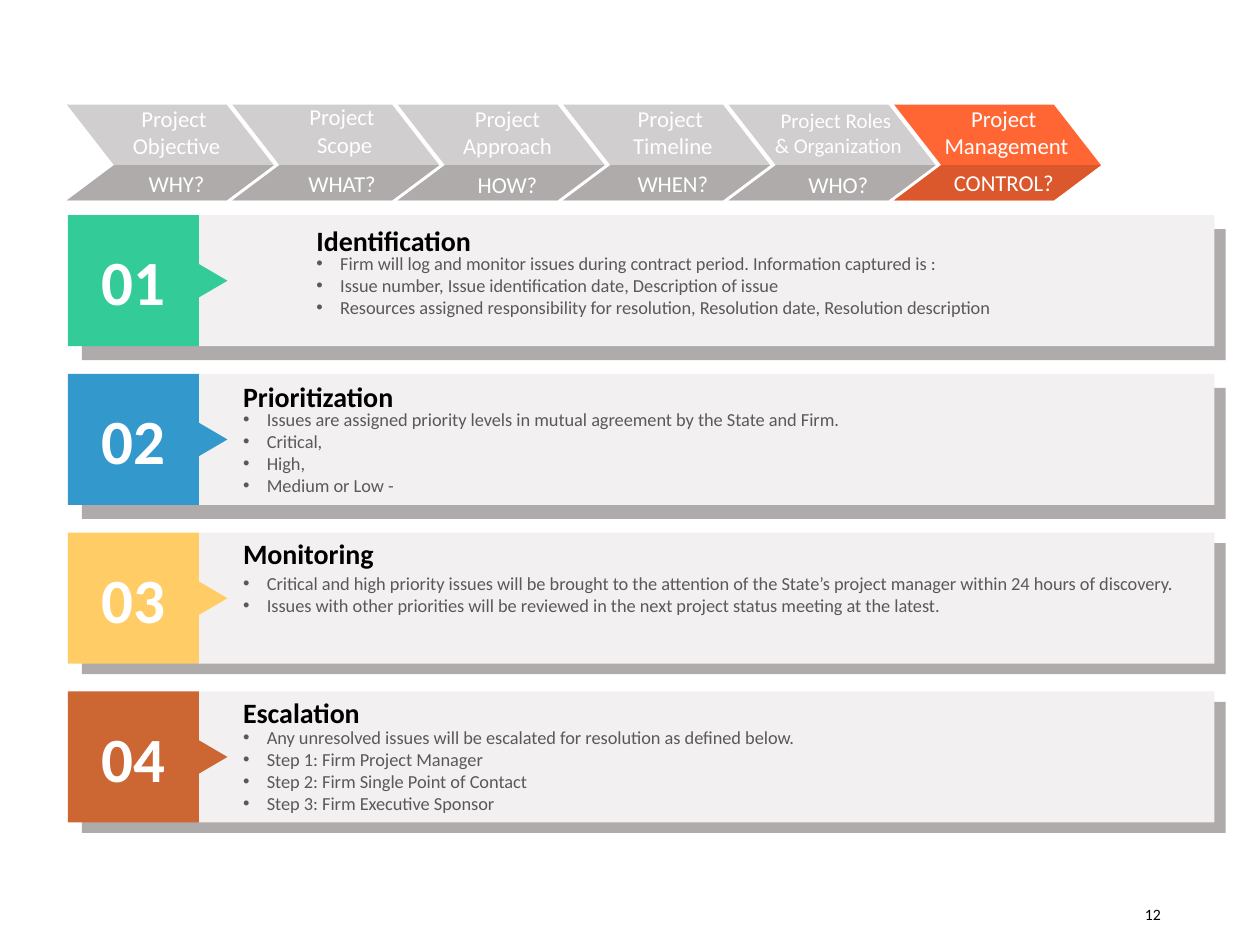
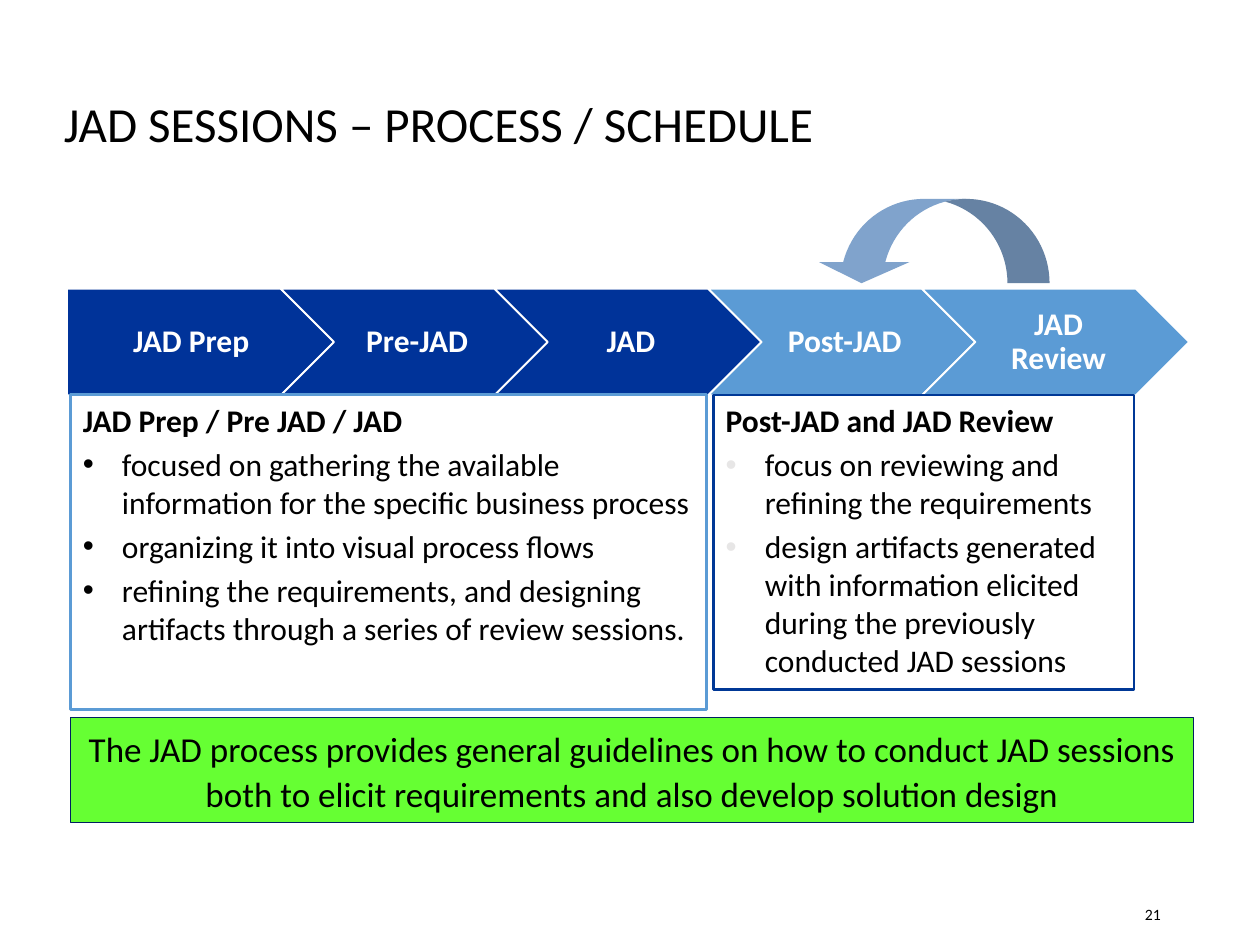
from lxml import etree
from pptx import Presentation
from pptx.dml.color import RGBColor
from pptx.enum import shapes, text
from pptx.oxml.ns import qn
from pptx.util import Cm, Pt

FONT = "Calibri"
COLORS = {
    "black": "000000", "white": "FFFFFF", "body": "595959",
    "panel": "F2F0F0", "shade": "AFABAB", "step": "D0CECE",
    "active": "FF6633", "active_dark": "DB582C",
    "green": "33CC99", "blue": "3399CC", "yellow": "FFCC66", "rust": "CC6633",
    "navy": "003399", "sky": "5B9BD5", "return": "80A3CC",
    "navy_line": "003896", "faint": "E7E6E6", "lime": "66FF33", "lime_line": "002060",
}
SHAPE = shapes.MSO_SHAPE
ALIGN = text.PP_ALIGN
ANCHOR = text.MSO_ANCHOR
INSETS = (0.25, 0.13, 0.25, 0.13)

# label, label size, label offset, question, question offset
STEPS = [
    (["Project ", "Objective"], 13, -0.13, "WHY?", 1.19),
    (["Project", " Scope"], 13, -0.16, "WHAT?", 1.19),
    (["Project", "Approach"], 13, -0.13, "HOW?", 1.21),
    (["Project ", "Timeline"], 13, -0.13, "WHEN?", 1.19),
    (["Project Roles ", "& Organization"], 12, -0.08, "WHO?", 1.21),
    (["Project", " Management"], 13, -0.13, "CONTROL?", 1.16),
]

# colour, shadow offset, text left, text width, heading offset, body offset
ISSUES = [
    ("Identification", ("green", 0.28, 5.01, 14.6, 0.03, 0.61), [
        "Firm will log and monitor issues during contract period. Information captured is :",
        "Issue number, Issue identification date, Description of issue",
        "Resources assigned responsibility for resolution, Resolution date, "
        "Resolution description"]),
    ("Prioritization", ("blue", 0.28, 3.53, 19.4, -0.03, 0.56), [
        "Issues are assigned priority levels in mutual agreement by the State and Firm.",
        "Critical, ", "High, ", "Medium or Low - "]),
    ("Monitoring", ("yellow", 0.21, 3.53, 19.1, -0.05, 0.66), [
        "Critical and high priority issues will be brought to the attention of the "
        "State’s project manager within 24 hours of discovery.",
        "Issues with other priorities will be reviewed in the next project status "
        "meeting at the latest."]),
    ("Escalation", ("rust", 0.21, 3.53, 19.4, -0.05, 0.56), [
        "Any unresolved issues will be escalated for resolution as defined below.",
        "Step 1: Firm Project Manager",
        "Step 2: Firm Single Point of Contact ",
        "Step 3: Firm Executive Sponsor"]),
]

PHASES = [("JAD Prep", "navy"), ("Pre-JAD", "navy"), ("JAD", "navy"),
          ("Post-JAD", "sky"), ("JAD Review", "sky")]


def rgb(name):
    return RGBColor.from_string(COLORS[name])


def add_bullet(p, indent, color):
    pPr = p._p.get_or_add_pPr()
    pPr.set("marL", str(Cm(indent)))
    pPr.set("indent", str(-Cm(indent)))
    if color:
        clr = etree.SubElement(pPr, qn("a:buClr"))
        etree.SubElement(clr, qn("a:srgbClr")).set("val", COLORS[color])
    etree.SubElement(pPr, qn("a:buFont")).set("typeface", "Arial")
    etree.SubElement(pPr, qn("a:buChar")).set("char", "•")


def write(tf, lines, size=18, color="black", bold=False, align=ALIGN.LEFT,
          anchor=ANCHOR.TOP, insets=INSETS, spacing=None, before=None,
          indent=None, bullet_color=None):
    """Append lines to a text frame in one format."""
    tf.word_wrap = True
    tf.vertical_anchor = anchor
    tf.margin_left, tf.margin_top, tf.margin_right, tf.margin_bottom = map(Cm, insets)
    for line in lines:
        p = tf.paragraphs[0] if not tf.text else tf.add_paragraph()
        p.alignment = align
        if spacing:
            p.line_spacing = spacing
        if before:
            p.space_before = Pt(before)
        if indent:
            add_bullet(p, indent, bullet_color)
        r = p.add_run()
        r.text = line
        r.font.name, r.font.size, r.font.bold = FONT, Pt(size), bold
        r.font.color.rgb = rgb(color)


def add_text(slide, box, lines, **fmt):
    write(slide.shapes.add_textbox(*map(Cm, box)).text_frame, lines, **fmt)


def paint(sp, fill=None, line=None, width=1):
    sp.shadow.inherit = False
    if fill:
        sp.fill.solid()
        sp.fill.fore_color.rgb = rgb(fill)
    else:
        sp.fill.background()
    if line:
        sp.line.color.rgb = rgb(line)
        sp.line.width = Pt(width)
    else:
        sp.line.fill.background()
    return sp


def add_shape(slide, kind, box, fill=None, line=None, width=1):
    return paint(slide.shapes.add_shape(kind, *map(Cm, box)), fill, line, width)


def add_outline(slide, x, y, points, fill):
    pts = [(Cm(x + dx), Cm(y + dy)) for dx, dy in points]
    fb = slide.shapes.build_freeform(*pts[0])
    fb.add_line_segments(pts[1:], close=True)
    paint(fb.convert_to_shape(), fill)


def new_slide(prs, number):
    slide = prs.slides.add_slide(prs.slide_layouts[6])
    add_text(slide, (17.93, 17.93, 5.72, 1.02), [str(number)], size=9,
             align=ALIGN.RIGHT, anchor=ANCHOR.MIDDLE)
    return slide


# Two-tone step of the roadmap band
def roadmap_step(slide, x, y, step, active):
    label, size, label_dy, question, question_dy = step
    w, h, mid, notch = 4.17, 1.93, 1.22, 0.95
    tip, inner, foot, heel = (w, mid), (notch, mid), (0, h), (w - notch, h)
    add_outline(slide, x, y, [heel, tip, (w - notch, 0), (0, 0), inner, foot],
                "active" if active else "step")
    add_outline(slide, x, y, [tip, inner, foot, heel],
                "active_dark" if active else "shade")
    fmt = dict(color="white", align=ALIGN.CENTER)
    add_text(slide, (x + 0.24, y + label_dy, 3.94, 1.37), label, size=size, **fmt)
    add_text(slide, (x + 0.24, y + question_dy, 3.94, 0.81), [question], size=13, **fmt)


# Numbered row: shadow, panel, number tile with pointer, text
def issue_row(slide, x, y, number, heading, style, points):
    color, shadow_dy, text_dx, text_w, head_dy, body_dy = style
    side = 2.64
    add_shape(slide, SHAPE.RECTANGLE, (x + 0.28, y + shadow_dy, 23.06, side), "shade")
    add_shape(slide, SHAPE.RECTANGLE, (x + side, y, 20.47, side), "panel")
    tile = add_shape(slide, SHAPE.RECTANGLE, (x, y, side, side), color)
    write(tile.text_frame, [f"{number:02d}"], size=36, color="white", bold=True,
          align=ALIGN.CENTER, anchor=ANCHOR.MIDDLE, insets=(0.18, 0.1, 0.18, 0.1))
    pointer = add_shape(slide, SHAPE.ISOSCELES_TRIANGLE,
                        (x + 2.39, y + 0.94, 0.89, 0.76), color)
    pointer.rotation = 90
    add_text(slide, (x + text_dx, y + head_dy, 13.5, 0.94), [heading], size=16,
             bold=True, anchor=ANCHOR.BOTTOM, insets=(0, 0.13, 0.25, 0.13))
    add_text(slide, (x + text_dx, y + body_dy, text_w, 2.06), points, size=10.5,
             color="body", align=ALIGN.JUSTIFY, insets=(0, 0.13, 0, 0.13), indent=0.48)


def issue_slide(prs):
    slide = new_slide(prs, 12)
    for i, step in enumerate(STEPS):
        roadmap_step(slide, 1.35 + 3.335 * i, 2.11, step, i == len(STEPS) - 1)
    for i, (heading, style, points) in enumerate(ISSUES):
        issue_row(slide, 1.37, 4.34 + 3.2 * i, i + 1, heading, style, points)


# Chain of phases with the return arrow above the last two
def phase_chain(slide, x, y):
    for i, (name, color) in enumerate(PHASES):
        kind = SHAPE.CHEVRON if i else SHAPE.PENTAGON
        sp = add_shape(slide, kind, (x + 4.31 * i, y, 5.38, 2.15), color, "white")
        write(sp.text_frame, [name], color="white", bold=True, align=ALIGN.CENTER,
              anchor=ANCHOR.MIDDLE, spacing=0.9,
              insets=(0.2 if i else 0.25, 0.13, 0.08, 0.13))
    arrow = add_shape(slide, SHAPE.CURVED_DOWN_ARROW,
                      (x + 15.11, y - 1.81, 4.7, 1.7), "return")
    for i, value in enumerate((0.5, 1.07, 0.25)):
        arrow.adjustments[i] = value
    arrow._element.spPr.find(qn("a:xfrm")).set("flipH", "1")


def phase_notes(slide, box, line, heading, points, bullet_color=None):
    tf = add_shape(slide, SHAPE.RECTANGLE, box, line=line, width=1.5).text_frame
    write(tf, [heading], bold=True, before=3.6)
    write(tf, points, before=3.6, indent=0.79, bullet_color=bullet_color)


def jad_slide(prs):
    slide = new_slide(prs, 21)
    add_text(slide, (1.04, 1.73, 22.12, 1.65), ["JAD SESSIONS – PROCESS / SCHEDULE"],
             size=28, anchor=ANCHOR.MIDDLE, spacing=0.9)
    phase_chain(slide, 1.35, 5.82)
    phase_notes(slide, (1.42, 7.95, 12.83, 6.35), "sky", "JAD Prep / Pre JAD / JAD", [
        "focused on gathering the available information for the specific business process",
        "organizing it into visual process flows",
        "refining the requirements, and designing artifacts through a series of "
        "review sessions."])
    phase_notes(slide, (14.38, 7.96, 8.48, 5.94), "navy_line", "Post-JAD and JAD Review", [
        "focus on reviewing and refining the requirements",
        "design artifacts generated with information elicited during the previously "
        "conducted JAD sessions"], "faint")
    # Closing message
    banner = add_shape(slide, SHAPE.RECTANGLE, (1.42, 14.46, 22.64, 2.12),
                       "lime", "lime_line", 0.75)
    write(banner.text_frame, [
        "The JAD process provides general guidelines on how to conduct JAD sessions "
        "both to elicit requirements and also develop solution design"],
        size=20, align=ALIGN.CENTER, anchor=ANCHOR.MIDDLE, spacing=1.06)


def main():
    prs = Presentation()
    prs.slide_width, prs.slide_height = Cm(25.4), Cm(19.05)
    issue_slide(prs)
    jad_slide(prs)
    prs.save("out.pptx")


if __name__ == "__main__":
    main()
